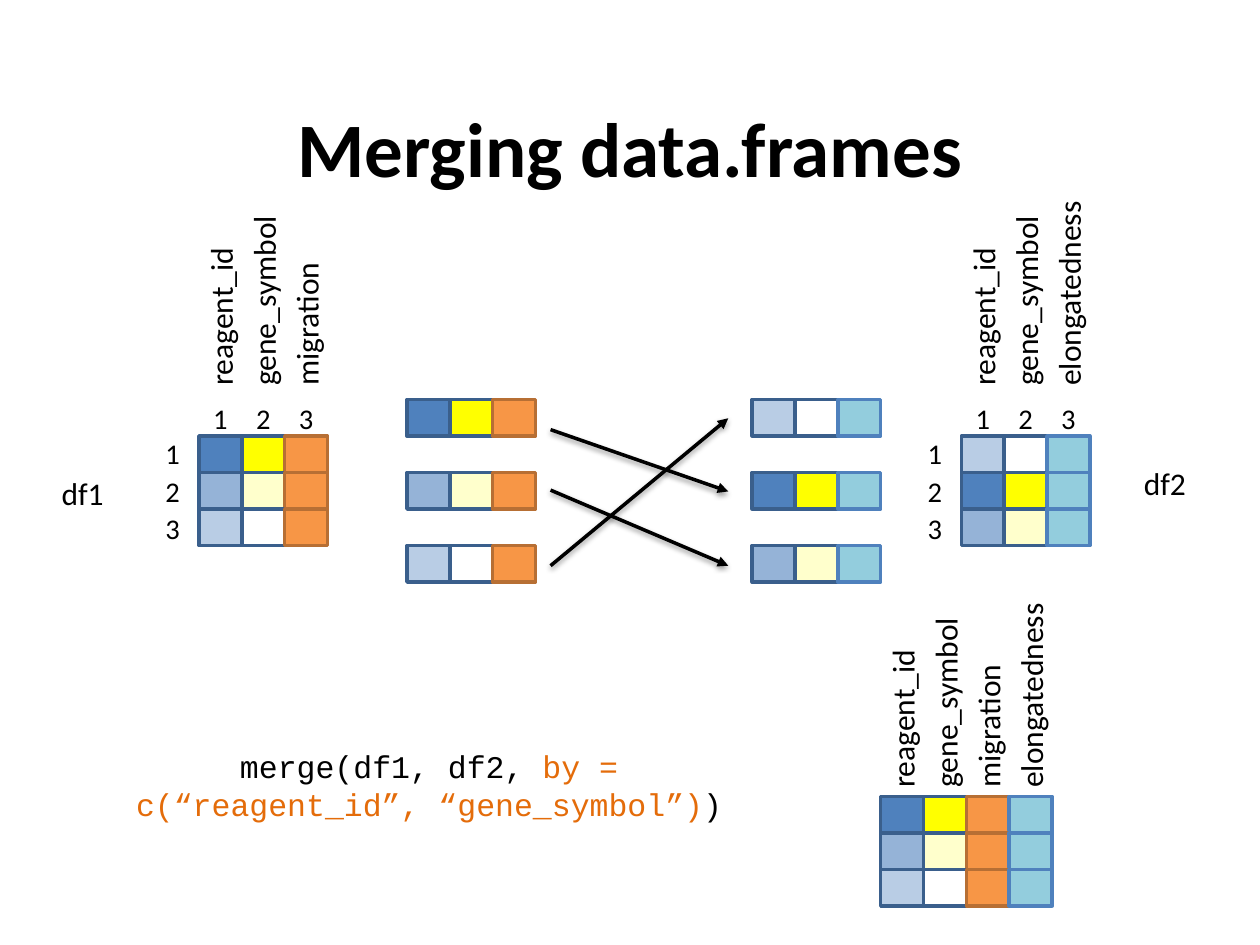
from lxml import etree
from pptx import Presentation
from pptx.dml.color import RGBColor
from pptx.enum.shapes import MSO_CONNECTOR, MSO_SHAPE
from pptx.enum.text import MSO_ANCHOR, MSO_AUTO_SIZE, PP_ALIGN
from pptx.oxml import parse_xml
from pptx.oxml.ns import nsdecls, qn
from pptx.util import Inches, Pt

CENTER, LEFT = PP_ALIGN.CENTER, PP_ALIGN.LEFT
TOP = MSO_ANCHOR.TOP
GROW = MSO_AUTO_SIZE.SHAPE_TO_FIT_TEXT
RECTANGLE = MSO_SHAPE.RECTANGLE
STRAIGHT = MSO_CONNECTOR.STRAIGHT

COLORS = {
    "black": "000000", "white": "FFFFFF", "code": "E46C0A",
    "blue": "4F81BD", "mid_blue": "95B3D7", "pale_blue": "B9CDE5",
    "yellow": "FFFF00", "cream": "FFFFCC",
    "orange": "F79646", "aqua": "93CDDD",
    "navy_edge": "3A5F8C", "orange_edge": "B76F34",
}
EDGES = {"orange": "orange_edge", "aqua": "blue"}

# Key columns of each record; the value columns are added per data frame
KEYS = [("blue", "yellow"), ("mid_blue", "cream"), ("pale_blue", "white")]
DF1 = [key + ("orange",) for key in KEYS]
DF2 = [KEYS[i] + ("aqua",) for i in (2, 0, 1)]
MERGED = [key + ("orange", "aqua") for key in KEYS]

CELL_W, CELL_H = 0.34, 0.29
LABEL_LENGTHS = {"reagent_id": 1.5, "gene_symbol": 1.71,
                 "migration": 1.5, "elongatedness": 1.71}
LABEL_H = 0.4
STRIP_STEP = 0.58


def rgb(name):
    return RGBColor.from_string(COLORS[name])


def write(frame, runs, size=18, font="Calibri", bold=False, align=LEFT):
    """Fill a text frame with one paragraph of (text, colour) runs."""
    frame.word_wrap = True
    paragraph = frame.paragraphs[0]
    paragraph.alignment = align
    for text, color in runs:
        run = paragraph.add_run()
        run.text = text
        run.font.size = Pt(size)
        run.font.name = font
        run.font.bold = bold
        run.font.color.rgb = rgb(color)


def add_label(slide, text, left, top, width, height, rotation=0, **style):
    label = slide.shapes.add_textbox(Inches(left), Inches(top),
                                     Inches(width), Inches(height))
    label.rotation = rotation
    runs = [(text, "black")] if isinstance(text, str) else text
    write(label.text_frame, runs, **style)
    label.text_frame.auto_size = GROW


def add_title(slide, text, left, top, width, height):
    title = slide.shapes.title
    title.left, title.top = Inches(left), Inches(top)
    title.width, title.height = Inches(width), Inches(height)
    title.text_frame.vertical_anchor = TOP
    write(title.text_frame, [(text, "black")], size=44, bold=True, align=CENTER)


def add_strip(slide, fills, left, top):
    """One record, drawn as a row of cells."""
    for column, fill in enumerate(fills):
        cell = slide.shapes.add_shape(
            RECTANGLE, Inches(left + column * CELL_W), Inches(top),
            Inches(CELL_W), Inches(CELL_H))
        cell.shadow.inherit = False
        cell.fill.solid()
        cell.fill.fore_color.rgb = rgb(fill)
        cell.line.color.rgb = rgb(EDGES.get(fill, "navy_edge"))
        cell.line.width = Pt(2)


def add_column_names(slide, names, left, bottom):
    """Names that read upwards, each centred on its column."""
    for column, name in enumerate(names):
        length = LABEL_LENGTHS[name]
        center = left + (column + 0.5) * CELL_W
        add_label(slide, name, center - length / 2,
                  bottom - length / 2 - LABEL_H / 2, length, LABEL_H, rotation=270)


def add_grid(slide, records, names, left, top, label_gap):
    for row, fills in enumerate(records):
        add_strip(slide, fills, left, top + row * CELL_H)
    add_column_names(slide, names, left, top - label_gap)


def add_numbers(slide, left, top):
    """Column numbers above a 3 by 3 grid and row numbers beside it."""
    for i in range(3):
        for x, y in ((left + i * CELL_W, top - 0.33),
                     (left - 0.38, top - 0.05 + i * 0.3)):
            add_label(slide, str(i + 1), x, y, CELL_W, 0.38,
                      size=16.3, align=CENTER)


def add_arrow(slide, start, end):
    arrow = slide.shapes.add_connector(
        STRAIGHT, *(Inches(value) for value in start + end))
    arrow.line.color.rgb = rgb("black")
    arrow.line.width = Pt(2)
    etree.SubElement(arrow.line._get_or_add_ln(), qn("a:tailEnd"), type="triangle")
    arrow._element.spPr.append(parse_xml(
        f'<a:effectLst {nsdecls("a")}>'
        '<a:outerShdw blurRad="40000" dist="20000" dir="5400000" rotWithShape="0">'
        f'<a:srgbClr val="{COLORS["black"]}"><a:alpha val="38000"/></a:srgbClr>'
        '</a:outerShdw></a:effectLst>'))


def add_matching(slide, left, right, top):
    """Records of both data frames, with arrows between equal keys."""
    for row, (first, second) in enumerate(zip(DF1, DF2)):
        add_strip(slide, first, left, top + row * STRIP_STEP)
        add_strip(slide, second, right, top + row * STRIP_STEP)
    arrow_left, arrow_right = left + 1.14, right - 0.19
    for start, end in ((0.24, 0.73), (1.32, 0.15), (0.72, 1.32)):
        add_arrow(slide, (arrow_left, top + start), (arrow_right, top + end))


def main():
    prs = Presentation()
    prs.slide_width, prs.slide_height = Inches(10), Inches(7.5)
    slide = prs.slides.add_slide(prs.slide_layouts[5])
    add_title(slide, "Merging data.frames", 0.5, 0.75, 9, 1.25)

    # Source data frames
    keys = ["reagent_id", "gene_symbol"]
    for records, value, left in ((DF1, "migration", 1.58),
                                 (DF2, "elongatedness", 7.63)):
        add_grid(slide, records, keys + [value], left, 3.46, label_gap=0.3)
        add_numbers(slide, left, 3.46)
    add_label(slide, "df1", 0.39, 3.71, 0.54, LABEL_H)
    add_label(slide, "df2", 8.98, 3.63, 0.54, LABEL_H)

    # Matching of records
    add_matching(slide, 3.23, 5.97, 3.17)

    # Merge call and its result
    add_label(slide, [("merge(df1, df2, ", "black"),
                      ("by = c(“reagent_id”, “gene_symbol”)", "code"),
                      (")", "black")],
              0.83, 5.88, 5.15, 0.71, font="Courier New", align=CENTER)
    add_grid(slide, MERGED, keys + ["migration", "elongatedness"],
             6.99, 6.32, label_gap=-0.03)

    prs.save("out.pptx")


if __name__ == "__main__":
    main()
